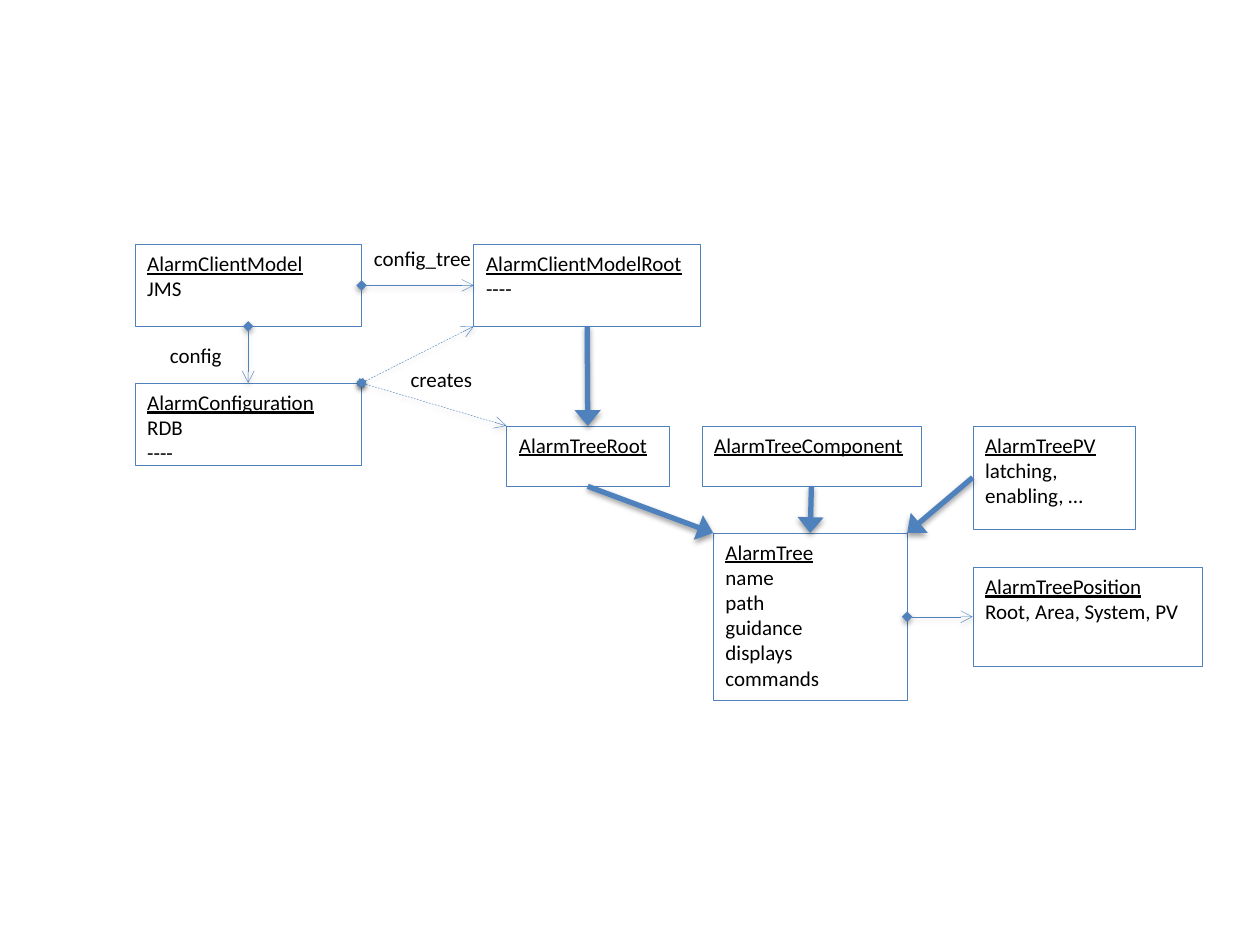
from lxml.etree import SubElement
from pptx import Presentation
from pptx.dml.color import RGBColor
from pptx.enum.dml import MSO_LINE
from pptx.enum.shapes import MSO_CONNECTOR, MSO_SHAPE
from pptx.enum.text import MSO_ANCHOR, PP_ALIGN
from pptx.oxml import parse_xml
from pptx.oxml.ns import nsdecls, qn
from pptx.util import Inches, Pt

COLORS = {"blue": "4F81BD", "white": "FFFFFF", "black": "000000"}
SHADOW = (
    f'<a:effectLst {nsdecls("a")}><a:outerShdw blurRad="40000" dist="20000" dir="5400000" rotWithShape="0">'
    f'<a:srgbClr val="{COLORS["black"]}"><a:alpha val="38000"/></a:srgbClr></a:outerShdw></a:effectLst>'
)

# Anchor name: horizontal share, vertical share, connection site (None at a corner)
ANCHORS = {
    "top": (0.5, 0, 0), "left": (0, 0.5, 1), "bottom": (0.5, 1, 2), "right": (1, 0.5, 3),
    "top left": (0, 0, None), "top right": (1, 0, None), "bottom left": (0, 1, None),
}


def format_text(text_frame, underline_first):
    text_frame.word_wrap = True
    text_frame.vertical_anchor = MSO_ANCHOR.TOP
    for index, paragraph in enumerate(text_frame.paragraphs):
        paragraph.alignment = PP_ALIGN.LEFT
        for run in paragraph.runs:
            run.font.name = "Calibri"
            run.font.size = Pt(12)
            run.font.color.rgb = RGBColor.from_string(COLORS["black"])
            run.font.underline = underline_first and index == 0


def anchor_point(box, anchor):
    across, down, site = ANCHORS[anchor]
    return int(box.left + across * box.width), int(box.top + down * box.height)


presentation = Presentation()
presentation.slide_width = Inches(10)
presentation.slide_height = Inches(7.5)
slide = presentation.slides.add_slide(presentation.slide_layouts[6])

# Class boxes: left, top, width, height, name followed by members
classes = [
    (7.72, 4.5, 1.82, 0.79, "AlarmTreePosition\nRoot, Area, System, PV"),
    (4.02, 3.38, 1.29, 0.48, "AlarmTreeRoot"),
    (5.57, 3.38, 1.74, 0.48, "AlarmTreeComponent"),
    (5.66, 4.23, 1.54, 1.33, "AlarmTree\nname\npath\nguidance\ndisplays\ncommands"),
    (7.72, 3.38, 1.29, 0.82, "AlarmTreePV\nlatching, enabling, …"),
    (3.76, 1.94, 1.8, 0.65, "AlarmClientModelRoot\n----"),
    (1.07, 1.94, 1.8, 0.65, "AlarmClientModel\nJMS"),
    (1.07, 3.04, 1.8, 0.65, "AlarmConfiguration\nRDB\n----"),
]
boxes = {}
for left, top, width, height, text in classes:
    shape = slide.shapes.add_shape(
        MSO_SHAPE.RECTANGLE, Inches(left), Inches(top), Inches(width), Inches(height))
    shape.shadow.inherit = False
    shape.fill.solid()
    shape.fill.fore_color.rgb = RGBColor.from_string(COLORS["white"])
    shape.line.color.rgb = RGBColor.from_string(COLORS["blue"])
    shape.line.width = Pt(0.25)
    shape.text_frame.text = text
    format_text(shape.text_frame, underline_first=True)
    boxes[text.split("\n")[0]] = shape

# Relations: from box and anchor, to box and anchor, kind
relations = [
    ("AlarmTreeRoot", "bottom", "AlarmTree", "top left", "inherits"),
    ("AlarmTreeComponent", "bottom", "AlarmTree", "top", "inherits"),
    ("AlarmTreePV", "left", "AlarmTree", "top right", "inherits"),
    ("AlarmClientModelRoot", "bottom", "AlarmTreeRoot", "top", "inherits"),
    ("AlarmTree", "right", "AlarmTreePosition", "left", "holds"),
    ("AlarmClientModel", "right", "AlarmClientModelRoot", "left", "holds"),
    ("AlarmClientModel", "bottom", "AlarmConfiguration", "top", "holds"),
    ("AlarmConfiguration", "top right", "AlarmClientModelRoot", "bottom left", "creates"),
    ("AlarmConfiguration", "top right", "AlarmTreeRoot", "top left", "creates"),
]
for source, source_anchor, target, target_anchor, kind in relations:
    start = anchor_point(boxes[source], source_anchor)
    end = anchor_point(boxes[target], target_anchor)
    connector = slide.shapes.add_connector(MSO_CONNECTOR.STRAIGHT, *start, *end)
    source_site = ANCHORS[source_anchor][2]
    target_site = ANCHORS[target_anchor][2]
    if source_site is not None:
        connector.begin_connect(boxes[source], source_site)
    if target_site is not None:
        connector.end_connect(boxes[target], target_site)
    connector.line.color.rgb = RGBColor.from_string(COLORS["blue"])
    connector.line.width = Pt(3 if kind == "inherits" else 0.25)
    if kind == "creates":
        connector.line.dash_style = MSO_LINE.DASH

    # Arrowheads and shadow
    line = connector.line._get_or_add_ln()
    if kind == "inherits":
        SubElement(line, qn("a:tailEnd"), type="triangle", w="lg", len="med")
    else:
        SubElement(line, qn("a:headEnd"), type="diamond")
        SubElement(line, qn("a:tailEnd"), type="arrow")
    connector._element.spPr.append(parse_xml(SHADOW))

# Relation labels
labels = [
    (2.87, 1.9, 1.04, "config_tree"),
    (3.16, 2.86, 0.75, "creates"),
    (1.25, 2.67, 0.72, "config"),
]
for left, top, width, text in labels:
    label = slide.shapes.add_textbox(Inches(left), Inches(top), Inches(width), Inches(0.37))
    label.text_frame.text = text
    format_text(label.text_frame, underline_first=False)

presentation.save("out.pptx")
